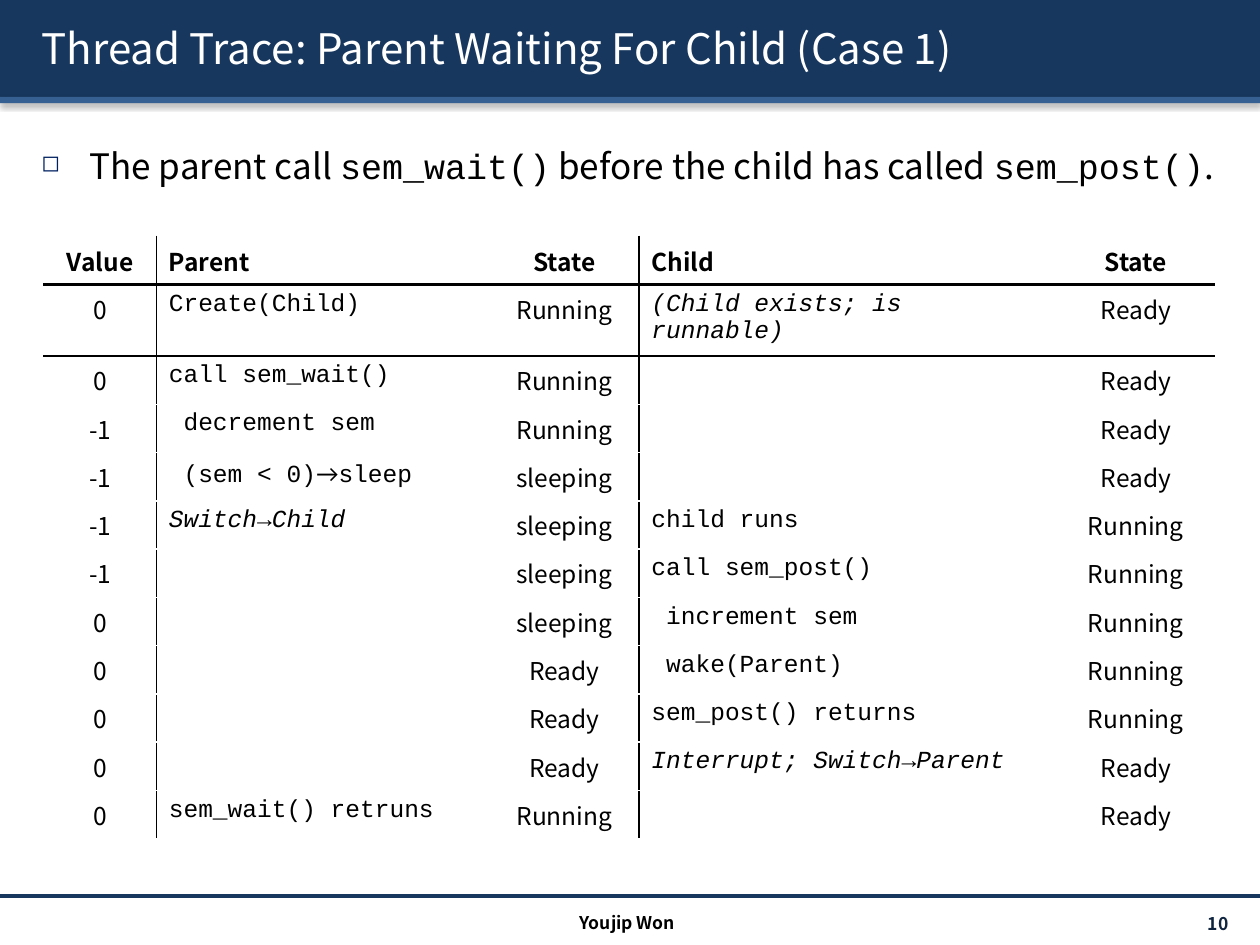
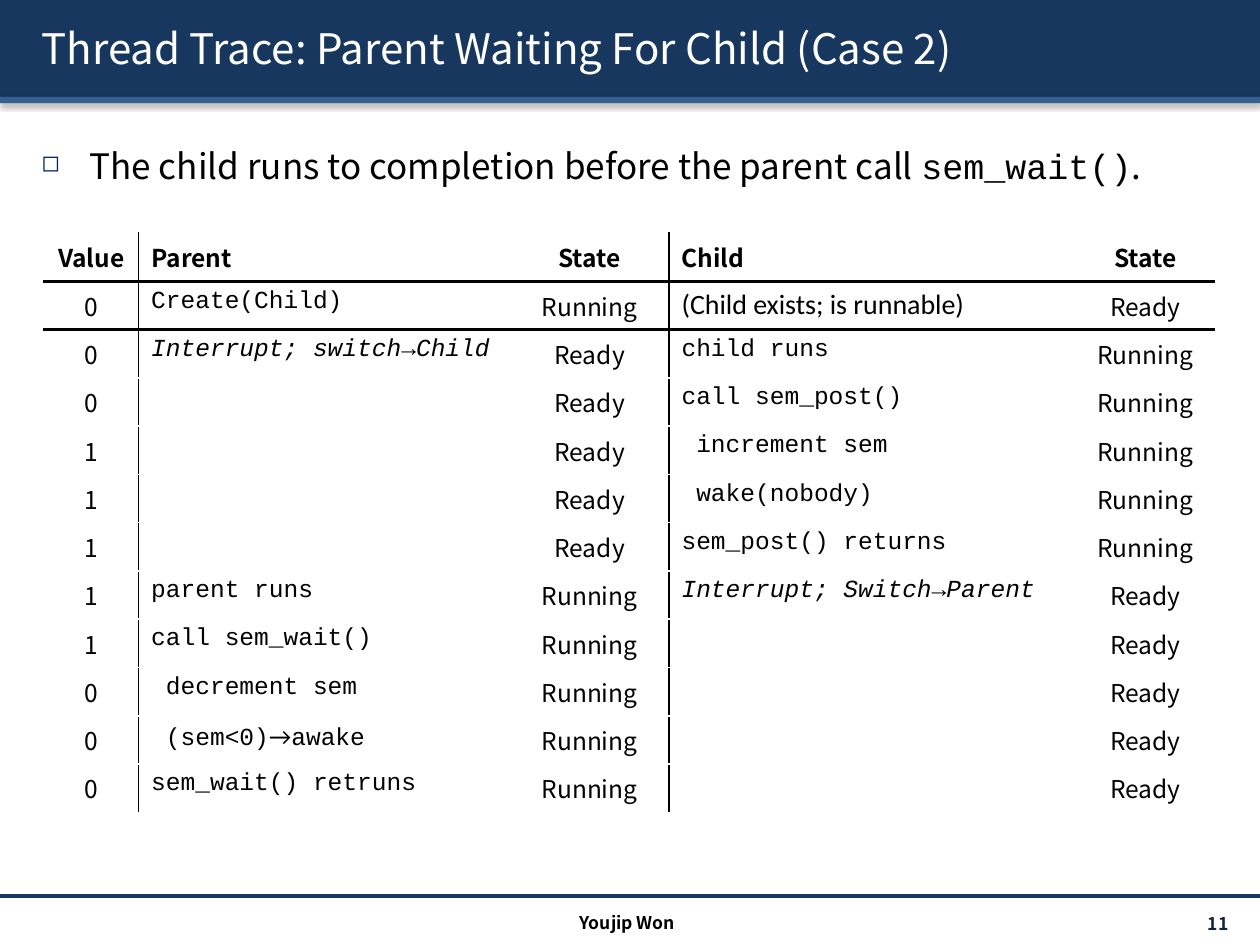
from typing import NamedTuple

from lxml import etree
from pptx import Presentation
from pptx.dml.color import RGBColor
from pptx.enum import shapes, text
from pptx.oxml import ns
from pptx.util import Pt

# Shared look
SANS, MONO, PLAIN = "Noto Sans CJK KR", "Courier New", "Calibri"
NAVY, BLUE, INK, PAGE = "17375E", "376092", "000000", "FFFFFF"
LEFT, CENTER, RIGHT = text.PP_ALIGN.LEFT, text.PP_ALIGN.CENTER, text.PP_ALIGN.RIGHT
MIDDLE, TOP = text.MSO_ANCHOR.MIDDLE, text.MSO_ANCHOR.TOP
WIDTH, HEIGHT = 720, 540
ROW = 27.6
ALIGNS = (CENTER, LEFT, CENTER, LEFT, CENTER)


class Box(NamedTuple):
    x: float
    y: float
    w: float
    h: float


class Band(NamedTuple):
    box: Box
    fill: str


class Bit(NamedTuple):
    """A piece of text in one style."""
    text: str
    font: str = SANS
    size: float = 14
    color: str = INK
    bold: bool = False
    slant: bool = False


class Trace(NamedTuple):
    """One slide: title, lead sentence and state table."""
    page: int
    title: str
    lead: tuple
    top: float
    cols: tuple
    first: float
    rows: tuple


BANDS = (Band(Box(0, 0, WIDTH, 55.4), NAVY), Band(Box(0, 55.4, WIDTH, 3.6), BLUE))
TITLE = Box(16.6, 4.3, 692, 46)
BODY = Box(16.6, 69.1, 692, 433.4)
NUMBER = Box(627, 519, 84.4, 17.3)
NAME = Box(239, 518.4, 239, 17.3)


def rgb(code: str) -> RGBColor:
    return RGBColor.from_string(code)


def sub(parent, tag: str, **attrs):
    """Add a DrawingML child with the given attributes."""
    return etree.SubElement(parent, ns.qn("a:" + tag), {k: str(v) for k, v in attrs.items()})


def cast(effects, blur: float, dist: float, angle: int, alpha: int) -> None:
    """Add a black outer shadow."""
    shade = sub(effects, "outerShdw", blurRad=Pt(blur), dist=Pt(dist),
                dir=angle * 60000, algn="t", rotWithShape=0)
    sub(sub(shade, "srgbClr", val=INK), "alpha", val=alpha * 1000)


# Text
def style(font, bit: Bit) -> None:
    font.name, font.size = bit.font, Pt(bit.size)
    font.bold, font.italic = bit.bold, bit.slant
    font.color.rgb = rgb(bit.color)


def write(para, bits: tuple, align=LEFT) -> None:
    para.alignment = align
    for bit in bits:
        run = para.add_run()
        run.text = bit.text
        if len(bits) > 1:
            style(run.font, bit)
    if len(bits) == 1:
        style(para.font, bits[0])


def place(shape, box: Box) -> None:
    shape.left, shape.top, shape.width, shape.height = map(Pt, box)


def label(slide, box: Box, anchor):
    frame = slide.shapes.add_textbox(*map(Pt, box)).text_frame
    frame.word_wrap = True
    frame.vertical_anchor = anchor
    return frame


def code(words: str, slant: bool = False) -> Bit:
    return Bit(words, MONO, slant=slant)


def leap(start: str, end: str) -> tuple:
    """Code with a wide arrow in the middle."""
    return code(start), Bit("→", PLAIN), code(end)


# Bands, title and footer
def frame(slide, trace: Trace) -> None:
    for band in BANDS:
        bar = slide.shapes.add_shape(shapes.MSO_SHAPE.RECTANGLE, *map(Pt, band.box))
        bar.fill.solid()
        bar.fill.fore_color.rgb = rgb(band.fill)
        bar.line.fill.background()
        bar.shadow.inherit = False
        cast(bar._element.spPr.find(ns.qn("a:effectLst")), 3.1, 1.6, 90, 38)

    rule = slide.shapes.add_connector(
        shapes.MSO_CONNECTOR.STRAIGHT, 0, Pt(512), Pt(WIDTH), Pt(512))
    rule.line.color.rgb = rgb(NAVY)
    rule.line.width = Pt(2)
    sub(rule._element.spPr, "effectLst")

    title = slide.shapes.title
    slide.shapes._spTree.append(title._element)  # in front of the bands
    place(title, TITLE)
    title.text_frame.vertical_anchor = MIDDLE
    para = title.text_frame.paragraphs[0]
    write(para, (Bit(trace.title, size=24, color=PAGE),))
    cast(sub(para.runs[0]._r.get_or_add_rPr(), "effectLst"), 1, 1.5, 45, 100)

    number = label(slide, NUMBER, MIDDLE)
    number.margin_right = Pt(9.4)
    write(number.paragraphs[0], (Bit(str(trace.page), size=10, color="0F243E", bold=True),), RIGHT)
    name = label(slide, NAME, MIDDLE)
    write(name.paragraphs[0], (Bit("Youjip Won", size=10, bold=True),), CENTER)


# Lead sentence
def lead(slide, words: tuple) -> None:
    body = label(slide, BODY, TOP)
    body.margin_top = Pt(13.4)
    para = body.paragraphs[0]
    props = para._p.get_or_add_pPr()
    props.set("marL", str(Pt(27.4)))
    props.set("indent", str(Pt(-27.4)))
    sub(sub(props, "buClr"), "srgbClr", val="002060")
    sub(props, "buSzPct", val=65000)
    sub(props, "buChar", char="◻")
    write(para, tuple(bit._replace(size=20) for bit in words))


# State table
def edge(cell, sides: dict) -> None:
    """Draw the cell's borders, given as side: (colour, width)."""
    props = cell._tc.get_or_add_tcPr()
    for spot, side in enumerate("LRTB"):
        color, width = sides[side]
        line = etree.Element(ns.qn("a:ln" + side), w=str(Pt(width)))
        sub(sub(line, "solidFill"), "srgbClr", val=color)
        props.insert(spot, line)


def grid(slide, trace: Trace) -> None:
    head = tuple(Bit(word, bold=True) for word in ("Value", "Parent", "State", "Child", "State"))
    rows = (head,) + trace.rows
    box = Box(25.2, trace.top, sum(trace.cols), ROW * len(rows))
    table = slide.shapes.add_table(len(rows), len(head), *map(Pt, box)).table
    table.first_row = table.horz_banding = False
    for col, width in zip(table.columns, trace.cols):
        col.width = Pt(width)
    thin, bar, heavy = (PAGE, 1), (INK, 1), (INK, 1.5)
    for r, row in enumerate(rows):
        table.rows[r].height = Pt(trace.first if r == 1 else ROW)
        for c, item in enumerate(row):
            cell = table.cell(r, c)
            cell.fill.background()
            edge(cell, {"L": bar if c in (1, 3) else thin,
                        "R": bar if c in (0, 2) else thin,
                        "T": heavy if r in (1, 2) else thin,
                        "B": heavy if r in (0, 1) else thin})
            para = cell.text_frame.paragraphs[0]
            if isinstance(item, str):
                item = code(item) if c in (1, 3) else Bit(item)
            if item == code(""):
                para.font.size = Pt(14)
                para._p.get_or_add_endParaRPr().set("sz", "1400")
            else:
                write(para, (item,) if isinstance(item, Bit) else item, ALIGNS[c])


# Content
RUN, READY, SLEEP = "Running", "Ready", "sleeping"
BACK = code("Interrupt; Switch→Parent", True)
TRACES = (
    Trace(10, "Thread Trace: Parent Waiting For Child (Case 1)",
          (Bit("The parent call "), code("sem_wait()"),
           Bit(" before the child has called "), code("sem_post()"), Bit(".")),
          135, (64.1, 190.8, 85, 239, 90), 38.9, (
              ("0", "Create(Child)", RUN, code("(Child exists; is runnable)", True), READY),
              ("0", "call sem_wait()", RUN, "", READY),
              ("-1", " decrement sem", RUN, "", READY),
              ("-1", leap(" (sem < 0)", "sleep"), SLEEP, "", READY),
              ("-1", code("Switch→Child", True), SLEEP, "child runs", RUN),
              ("-1", "", SLEEP, "call sem_post()", RUN),
              ("0", "", SLEEP, " increment sem", RUN),
              ("0", "", READY, " wake(Parent)", RUN),
              ("0", "", READY, "sem_post() returns", RUN),
              ("0", "", READY, BACK, READY),
              ("0", "sem_wait() retruns", RUN, "", READY))),
    Trace(11, "Thread Trace: Parent Waiting For Child (Case 2)",
          (Bit("The child runs to completion before the parent call "),
           code("sem_wait()"), Bit(".")),
          133.2, (54, 212.4, 90.7, 232.6, 79.2), ROW, (
              ("0", "Create(Child)", RUN, Bit("(Child exists; is runnable)", PLAIN, 16), READY),
              ("0", code("Interrupt; switch→Child", True), READY, "child runs", RUN),
              ("0", "", READY, "call sem_post()", RUN),
              ("1", "", READY, " increment sem", RUN),
              ("1", "", READY, " wake(nobody)", RUN),
              ("1", "", READY, "sem_post() returns", RUN),
              ("1", "parent runs", RUN, BACK, READY),
              ("1", "call sem_wait()", RUN, "", READY),
              ("0", " decrement sem", RUN, "", READY),
              ("0", leap(" (sem<0)", "awake"), RUN, "", READY),
              ("0", "sem_wait() retruns", RUN, "", READY))),
)


def main() -> None:
    deck = Presentation()
    deck.slide_width, deck.slide_height = Pt(WIDTH), Pt(HEIGHT)
    for trace in TRACES:
        slide = deck.slides.add_slide(deck.slide_layouts[5])  # title only
        frame(slide, trace)
        lead(slide, trace.lead)
        grid(slide, trace)
    deck.save("out.pptx")


if __name__ == "__main__":
    main()
